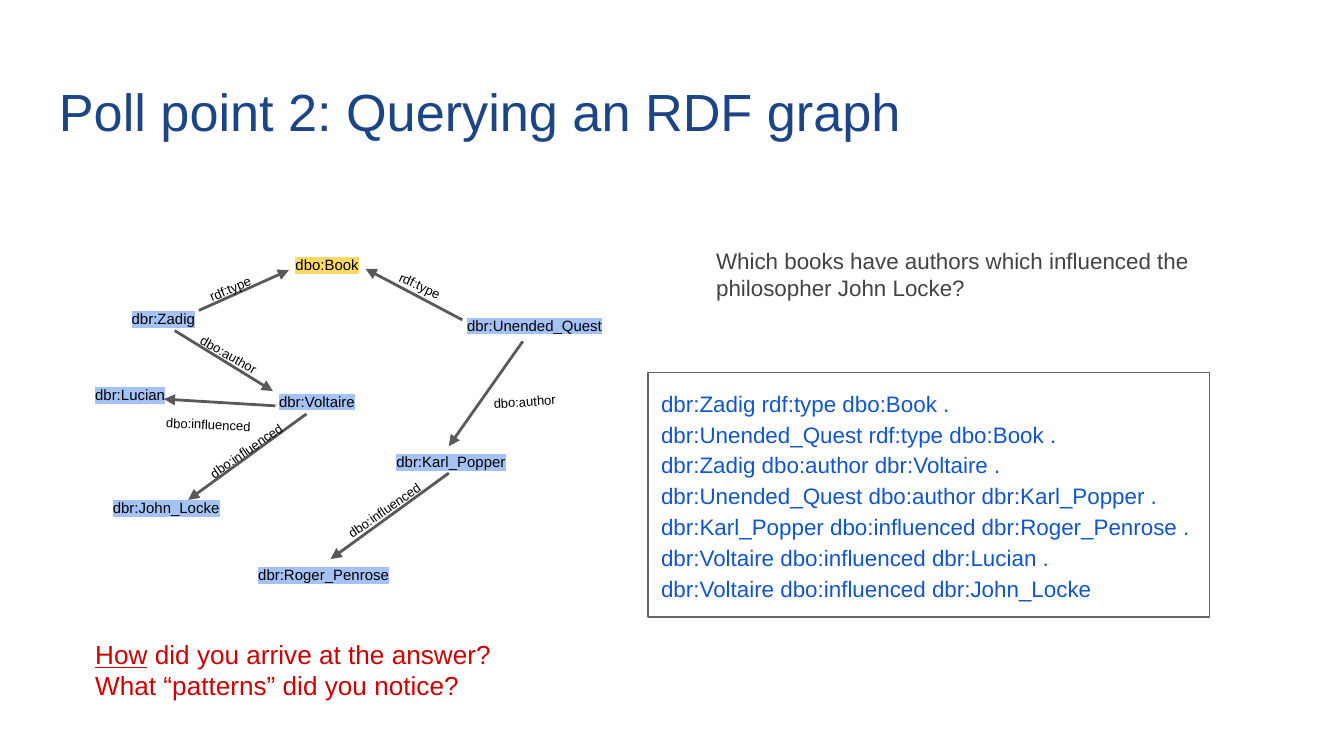
"""Build a slide that asks a question about a small RDF graph of books and authors."""
from dataclasses import dataclass

from lxml import etree
from pptx import Presentation
from pptx.dml.color import RGBColor
from pptx.enum.shapes import MSO_CONNECTOR, MSO_SHAPE
from pptx.enum.text import MSO_ANCHOR, PP_ALIGN
from pptx.oxml.ns import qn
from pptx.util import Inches, Pt

OVAL, RECT = MSO_SHAPE.OVAL, MSO_SHAPE.RECTANGLE
STRAIGHT = MSO_CONNECTOR.STRAIGHT
TOP, MIDDLE = MSO_ANCHOR.TOP, MSO_ANCHOR.MIDDLE
LEFT = PP_ALIGN.LEFT


@dataclass(frozen=True)
class Theme:
    font: str = "Arial"
    title: str = "1C4587"
    ink: str = "000000"
    question: str = "434343"
    triple: str = "1155CC"
    prompt: str = "CC0000"
    edge: str = "595959"
    frame: str = "666666"
    class_mark: str = "FFD966"
    entity_mark: str = "A4C2F4"
    title_size: int = 28
    prompt_size: int = 14
    body_size: int = 12
    node_size: int = 8
    edge_size: int = 7


T = Theme()


def add_text(text, x, y, w, h, size, color, shape=None, mark=None, line=None,
             rotation=0, anchor=TOP, drop=0, spacing=None, underlined=""):
    box = [Inches(v) for v in (x, y, w, h)]
    if shape is None:
        sp = s.shapes.add_textbox(*box)
    else:
        sp = s.shapes.add_shape(shape, *box)
        sp.shadow.inherit = False
        sp.fill.background()
        if line:
            sp.line.color.rgb = RGBColor.from_string(line)
            sp.line.width = Pt(0.75)
        else:
            sp.line.fill.background()
    sp.rotation = rotation
    tf = sp.text_frame
    tf.word_wrap = True
    tf.vertical_anchor = anchor
    tf.margin_left = tf.margin_right = Inches(0.1)
    tf.margin_top, tf.margin_bottom = Inches(0.1 + drop), Inches(0.1 - drop)
    for i, content in enumerate(text.split("\n")):
        p = tf.paragraphs[0] if i == 0 else tf.add_paragraph()
        p.alignment = LEFT
        p.line_spacing = spacing
        for part in filter(None, (underlined, content)):
            r = p.add_run()
            r.text = part
            r.font.name = T.font
            r.font.size = Pt(size)
            r.font.color.rgb = RGBColor.from_string(color)
            if part == underlined:
                r.font.underline = True
            if mark:
                highlight = etree.Element(qn("a:highlight"))
                etree.SubElement(highlight, qn("a:srgbClr"), val=mark)
                r.font._element.find(qn("a:solidFill")).addnext(highlight)


prs = Presentation()
prs.slide_width = Inches(10)
prs.slide_height = prs.slide_width * 9 // 16
s = prs.slides.add_slide(prs.slide_layouts[6])

add_text("Poll point 2: Querying an RDF graph", 0.34, 0.49, 9.32, 0.63,
         size=T.title_size, color=T.title)

nodes = [
    ("dbo:Book", 1.96, 1.49, 0.96, T.class_mark, 0),
    ("dbr:John_Locke", 0.52, 3.02, 1.51, T.entity_mark, 0),
    ("dbr:Voltaire", 1.81, 2.41, 1.15, T.entity_mark, 0),
    ("dbr:Zadig", 0.73, 1.85, 1.04, T.entity_mark, 0),
    ("dbr:Unended_Quest", 3.11, 1.46, 1.82, T.entity_mark, 0.05),
    ("dbr:Karl_Popper", 2.63, 2.61, 1.51, T.entity_mark, 0.07),
    ("dbr:Roger_Penrose", 1.57, 3.41, 1.73, T.entity_mark, 0),
    ("dbr:Lucian", 0.43, 2.32, 1.23, T.entity_mark, 0),
]
for name, x, y, d, mark, drop in nodes:
    add_text(name, x, y, d, d, size=T.node_size, color=T.ink, shape=OVAL,
             mark=mark, anchor=MIDDLE, drop=drop)

edges = [
    ("rdf:type", (1.48, 2.31, 2.15, 2.01), (1.42, 1.92, 0.65, 0.27), 337.5),
    ("dbo:author", (1.3, 2.46, 2.03, 2.91), (1.37, 2.45, 0.74, 0.41), 29.4),
    ("dbo:influenced", (2.28, 3.08, 1.4, 3.72), (1.38, 3.14, 0.88, 0.3), 325.2),
    ("dbo:author", (3.89, 2.54, 3.34, 3.32), (3.57, 2.78, 0.67, 0.29), 356),
    ("rdf:type", (3.44, 2.38, 2.72, 2), (2.89, 1.95, 0.65, 0.27), 24.9),
    ("dbo:influenced", (3.34, 3.52, 2.46, 4.16), (2.41, 3.59, 0.85, 0.3), 325.2),
    ("dbo:influenced", (2.05, 3.02, 1.22, 2.97), (1.14, 2.95, 0.88, 0.3), 2.5),
]
for name, ends, box, rotation in edges:
    arrow = s.shapes.add_connector(STRAIGHT, *[Inches(v) for v in ends])
    arrow.line.color.rgb = RGBColor.from_string(T.edge)
    arrow.line.width = Pt(1.5)
    etree.SubElement(arrow.line._get_or_add_ln(), qn("a:tailEnd"), type="triangle")
    etree.SubElement(arrow._element.spPr, qn("a:effectLst"))
    add_text(name, *box, size=T.edge_size, color=T.ink, rotation=rotation, drop=0.05)

add_text("Which books have authors which influenced the philosopher John Locke?",
         5.23, 1.74, 3.74, 0.63, size=T.body_size, color=T.question)

triples = [
    "dbr:Zadig rdf:type dbo:Book .",
    "dbr:Unended_Quest rdf:type dbo:Book .",
    "dbr:Zadig dbo:author dbr:Voltaire .",
    "dbr:Unended_Quest dbo:author dbr:Karl_Popper .",
    "dbr:Karl_Popper dbo:influenced dbr:Roger_Penrose .",
    "dbr:Voltaire dbo:influenced dbr:Lucian .",
    "dbr:Voltaire dbo:influenced dbr:John_Locke",
]
add_text("\n".join(triples), 4.82, 2.77, 4.18, 1.82, size=T.body_size,
         color=T.triple, shape=RECT, line=T.frame, spacing=1.15)

add_text(" did you arrive at the answer? What “patterns” did you notice?",
         0.61, 4.65, 3.23, 0.53, size=T.prompt_size, color=T.prompt, underlined="How")

prs.save("out.pptx")
